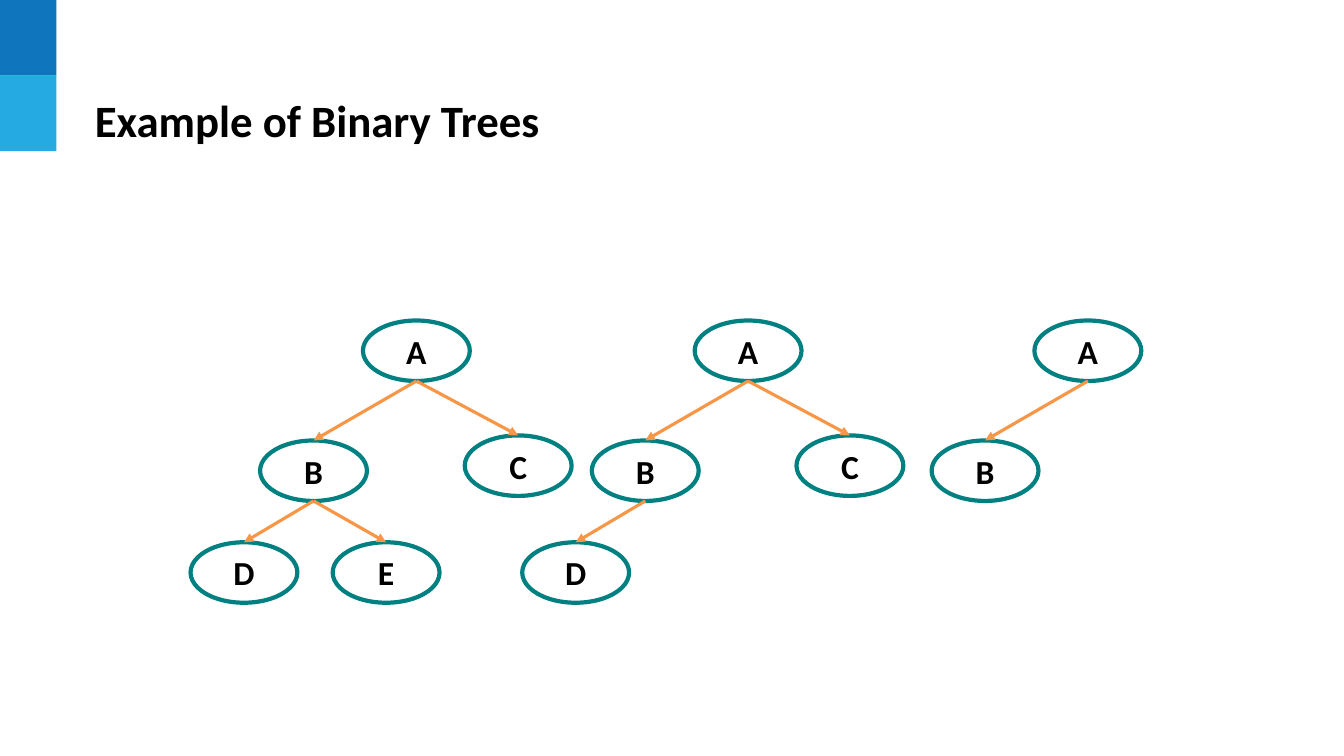
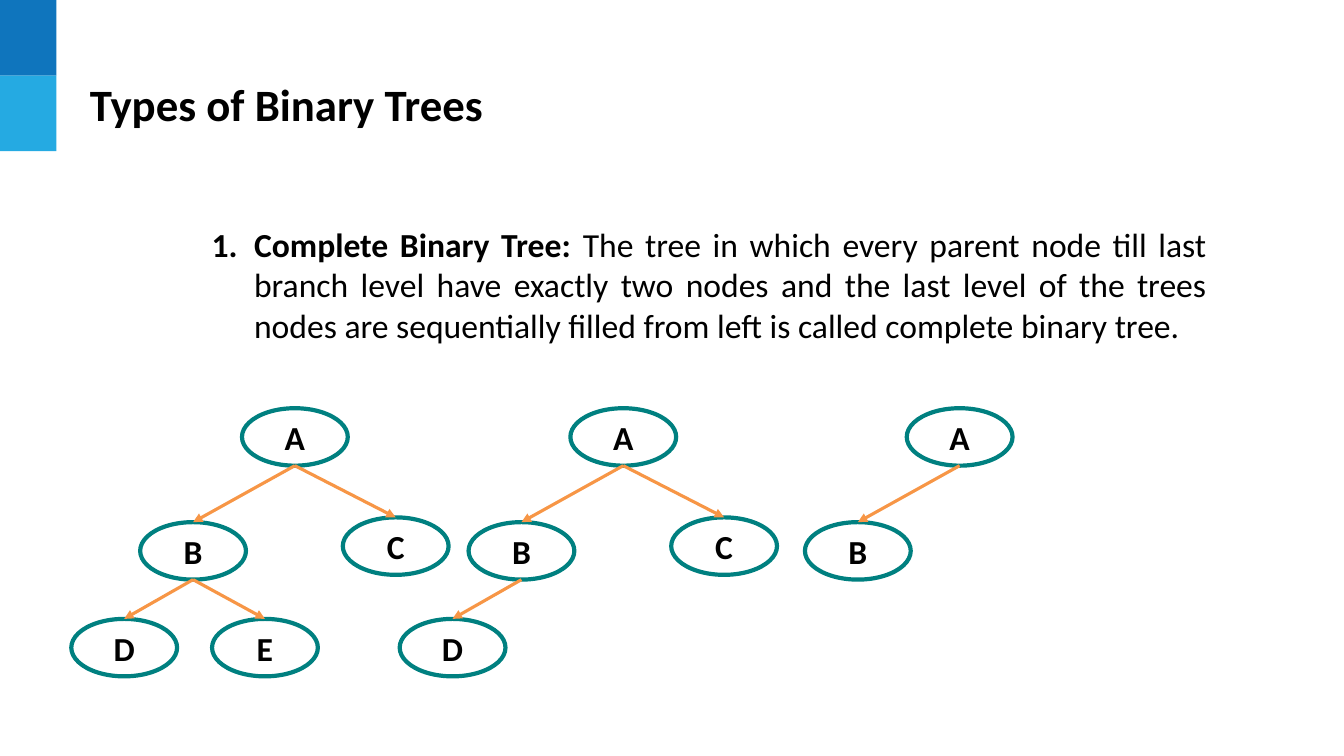
from lxml import etree
from pptx import Presentation
from pptx.dml.color import RGBColor
from pptx.enum.shapes import MSO_CONNECTOR, MSO_SHAPE
from pptx.enum.text import MSO_ANCHOR, MSO_AUTO_SIZE, PP_ALIGN
from pptx.oxml.ns import qn
from pptx.util import Inches, Pt

RECTANGLE, OVAL = MSO_SHAPE.RECTANGLE, MSO_SHAPE.OVAL
STRAIGHT = MSO_CONNECTOR.STRAIGHT
LEFT, CENTER, JUSTIFY = PP_ALIGN.LEFT, PP_ALIGN.CENTER, PP_ALIGN.JUSTIFY
TOP, MIDDLE = MSO_ANCHOR.TOP, MSO_ANCHOR.MIDDLE
FIT_SHAPE, NO_FIT = MSO_AUTO_SIZE.SHAPE_TO_FIT_TEXT, MSO_AUTO_SIZE.NONE

DARK_BLUE = RGBColor(0x0F, 0x75, 0xBD)
LIGHT_BLUE = RGBColor(0x25, 0xAA, 0xE2)
TEAL = RGBColor(0x00, 0x80, 0x80)
ORANGE = RGBColor(0xF7, 0x96, 0x46)
BLACK = RGBColor(0x00, 0x00, 0x00)
WHITE = RGBColor(0xFF, 0xFF, 0xFF)
FONT = "Calibri"

NODE_WIDTH, NODE_HEIGHT = 1.06, 0.6
NODE_OFFSETS = {"A": (0, 0), "B": (-1.02, 1.19), "C": (1.01, 1.14),
                "D": (-1.71, 2.2), "E": (-0.3, 2.2)}
PARENTS = {"B": "A", "C": "A", "D": "B", "E": "B"}
TREES = [(0, "ABCDE"), (3.29, "ABCD"), (6.66, "AB")]


def format_runs(paragraph, size, bold, alignment):
    paragraph.alignment = alignment
    for run in paragraph.runs:
        run.font.name = FONT
        run.font.size = Pt(size)
        run.font.bold = bold
        run.font.color.rgb = BLACK


def add_trees(slide, left, top, scale_x, scale_y):
    width, height = NODE_WIDTH * scale_x, NODE_HEIGHT * scale_y
    for tree_offset, names in TREES:
        corners = {}
        for name in names:
            offset_x, offset_y = NODE_OFFSETS[name]
            x = left + (tree_offset + offset_x) * scale_x
            y = top + offset_y * scale_y
            corners[name] = x, y
            node = slide.shapes.add_shape(
                OVAL, Inches(x), Inches(y), Inches(width), Inches(height))
            node.shadow.inherit = False
            if name == "A":
                node.fill.solid()
                node.fill.fore_color.rgb = WHITE
            else:
                node.fill.background()
            node.line.color.rgb = TEAL
            node.line.width = Pt(3)
            node.text_frame.text = name
            node.text_frame.vertical_anchor = MIDDLE
            format_runs(node.text_frame.paragraphs[0], 24, True, CENTER)
        for name in names[1:]:
            parent_x, parent_y = corners[PARENTS[name]]
            child_x, child_y = corners[name]
            arrow = slide.shapes.add_connector(
                STRAIGHT,
                Inches(parent_x + width / 2), Inches(parent_y + height),
                Inches(child_x + width / 2), Inches(child_y))
            arrow.line.color.rgb = ORANGE
            arrow.line.width = Pt(2.25)
            line = arrow.line._get_or_add_ln()
            etree.SubElement(line, qn("a:tailEnd"), type="triangle")
            etree.SubElement(arrow.element.spPr, qn("a:effectLst"))


presentation = Presentation()
presentation.slide_width = Inches(13.33)
presentation.slide_height = Inches(7.5)
layouts = presentation.slide_layouts
examples = presentation.slides.add_slide(layouts.get_by_name("Title Only"))
types = presentation.slides.add_slide(layouts.get_by_name("Title and Content"))

master_tree = presentation.slide_master.shapes.element
for index, color in enumerate([DARK_BLUE, LIGHT_BLUE]):
    band = examples.shapes.add_shape(
        RECTANGLE, 0, Inches(0.75 * index), Inches(0.56), Inches(0.75))
    band.shadow.inherit = False
    band.fill.solid()
    band.fill.fore_color.rgb = color
    band.line.fill.background()
    band.element.nvSpPr.cNvPr.set("id", str(20 + index))
    master_tree.insert(2 + index, band.element)

for slide, text, left, top in [
    (examples, "Example of Binary Trees", 0.84, 0.74),
    (types, "Types of Binary Trees", 0.79, 0.58),
]:
    title = slide.shapes.title
    title.left, title.top = Inches(left), Inches(top)
    title.width, title.height = Inches(8.75), Inches(0.9)
    title.text_frame.text = text
    title.text_frame.auto_size = NO_FIT
    title.text_frame.vertical_anchor = MIDDLE
    format_runs(title.text_frame.paragraphs[0], 32, True, LEFT)

add_trees(examples, 3.6, 3.18, 1, 1)

definition = types.placeholders[1]
definition.left, definition.top = Inches(1.92), Inches(2.12)
definition.width, definition.height = Inches(10.15), Inches(1.41)
frame = definition.text_frame
frame.margin_left = frame.margin_right = Inches(0.1)
frame.margin_top = frame.margin_bottom = Inches(0.1)
frame.vertical_anchor = TOP
frame.auto_size = FIT_SHAPE
paragraph = frame.paragraphs[0]
properties = paragraph._p.get_or_add_pPr()
properties.set("marL", str(Inches(0.5)))
properties.set("indent", str(Inches(-0.42)))
bullet_color = etree.SubElement(properties, qn("a:buClr"))
etree.SubElement(bullet_color, qn("a:srgbClr"), val=str(BLACK))
etree.SubElement(properties, qn("a:buFont"), typeface=FONT)
etree.SubElement(properties, qn("a:buAutoNum"), type="arabicPeriod")
paragraph.space_before = Pt(0)
paragraph.add_run().text = "Complete Binary Tree:"
paragraph.add_run().text = (
    " The tree in which every parent node till last branch level have exactly "
    "two nodes and the last level of the trees nodes are sequentially filled "
    "from left is called complete binary tree.")
format_runs(paragraph, 24, False, JUSTIFY)
paragraph.runs[0].font.bold = True

add_trees(types, 2.4, 4.05, 0.99, 0.95)

presentation.save("out.pptx")
